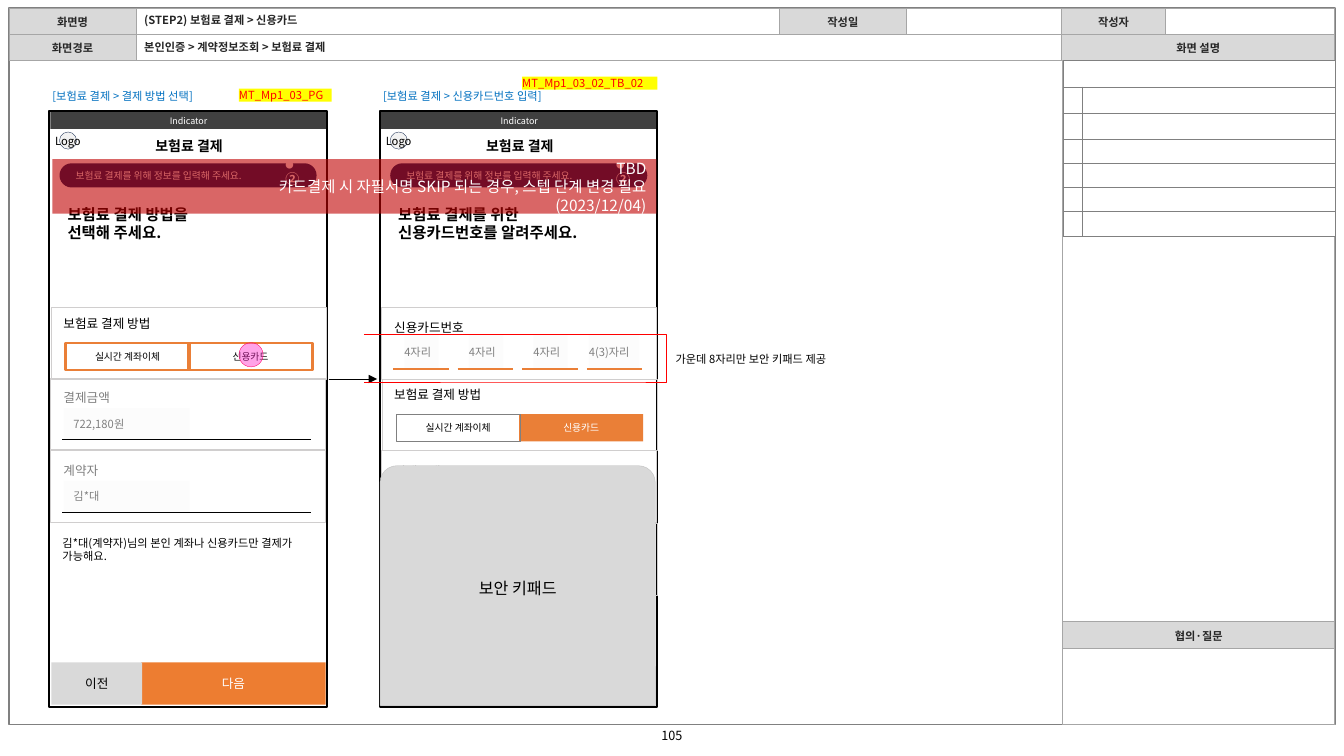
from dataclasses import dataclass
from lxml.etree import SubElement
from pptx import Presentation
from pptx.dml.color import RGBColor
from pptx.enum.shapes import MSO_CONNECTOR, MSO_SHAPE as SHAPE
from pptx.enum.text import MSO_ANCHOR as ANCHOR, MSO_AUTO_SIZE as AUTO_SIZE, PP_ALIGN as ALIGN
from pptx.oxml.ns import qn
from pptx.util import Pt

PX = 9144  # 100 px to the inch


@dataclass(frozen=True)
class Theme:
    font: str = "Noto Sans CJK KR"
    black: str = "000000"
    white: str = "FFFFFF"
    ink: str = "262626"
    dark: str = "404040"
    gray: str = "808080"
    border: str = "A6A6A6"
    section: str = "D0CECE"
    light: str = "D9D9D9"
    pale: str = "F2F2F2"
    keypad_edge: str = "BFBFBF"
    navy: str = "002060"
    logo_edge: str = "1E3256"
    blue: str = "0070C0"
    orange: str = "EA7F37"
    next_button: str = "ED7D31"
    red: str = "FF0000"
    banner: str = "C00000"
    yellow: str = "FFFF00"
    pink: str = "FF33CC"
    pink_edge: str = "FF0066"
    dot: float = 6
    indicator: float = 6.4
    small: float = 7
    body: float = 8
    label: float = 9
    title: float = 10
    heading: float = 11
    keypad: float = 11.5


theme = Theme()


def write(frame, text, size=theme.body, color=theme.black, bold=False, align=ALIGN.LEFT):
    for number, line in enumerate(text.split("\n")):
        paragraph = frame.add_paragraph() if number else frame.paragraphs[-1]
        paragraph.alignment = align
        run = paragraph.add_run()
        run.text = line
        run.font.size = Pt(size)
        run.font.bold = bold
        run.font.name = theme.font
        run.font.color.rgb = RGBColor.from_string(color)
        SubElement(run.font._element, qn("a:ea"), typeface=theme.font)


def add_box(kind, left, top, width, height, text="", fill=None, line=None, weight=0.25,
            opacity=100, wrap=None, inset=0, anchor=ANCHOR.MIDDLE, **text_format):
    """Add a preset shape, or a text box that fits its text when kind is None."""
    place = [value * PX for value in (left, top, width, height)]
    if kind is None:
        shape = slide.shapes.add_textbox(*place)
    else:
        shape = slide.shapes.add_shape(kind, *place)
        shape.shadow.inherit = False
        if fill:
            shape.fill.solid()
            shape.fill.fore_color.rgb = RGBColor.from_string(fill)
            color = shape._element.spPr.find(qn("a:solidFill"))[0]
            if opacity < 100:
                SubElement(color, qn("a:alpha"), val=str(opacity * 1000))
        else:
            shape.fill.background()
        if line:
            shape.line.color.rgb = RGBColor.from_string(line)
            shape.line.width = Pt(weight)
        else:
            shape.line.fill.background()
    if text:
        frame = shape.text_frame
        frame.word_wrap = kind is not None if wrap is None else wrap
        frame.auto_size = AUTO_SIZE.SHAPE_TO_FIT_TEXT if kind is None else AUTO_SIZE.NONE
        frame.vertical_anchor = anchor
        frame.margin_left = frame.margin_right = inset * PX
        frame.margin_top = frame.margin_bottom = 0
        write(frame, text, **text_format)
    return shape


presentation = Presentation()
presentation.slide_width, presentation.slide_height = 1333 * PX, 750 * PX
slide = presentation.slides.add_slide(presentation.slide_layouts[6])

# Page frame, then tables: left, top, columns, rows, border, weight, merges, labels
add_box(SHAPE.RECTANGLE, 9, 8, 1315, 711, line=theme.gray, weight=1)
tables = [
    (1054, 59, [270], [558, 26, 76], theme.border, 0.75, [], {(1, 0): "협의·질문"}),
    (9, 8, [126, 638, 126, 154, 103, 168], [26, 26], theme.border, 0.75,
     [(1, 1, 3), (1, 4, 5)],
     {(0, 0): "화면명", (0, 2): "작성일", (0, 4): "작성자", (1, 0): "화면경로", (1, 4): "화면 설명"}),
    (1054, 60, [19, 251], [26] * 3 + [24] * 4, theme.gray, 0.25, [(0, 0, 1)], {}),
]
for left, top, columns, rows, border, weight, merges, labels in tables:
    table = slide.shapes.add_table(len(rows), len(columns), left * PX, top * PX,
                                   sum(columns) * PX, sum(rows) * PX).table
    table.first_row = table.horz_banding = False
    for column, width in zip(table.columns, columns):
        column.width = width * PX
    for row, height in zip(table.rows, rows):
        row.height = height * PX
    for row, first, last in merges:
        table.cell(row, first).merge(table.cell(row, last))
    for row in range(len(rows)):
        for column in range(len(columns)):
            cell = table.cell(row, column)
            label = labels.get((row, column))
            cell.vertical_anchor = ANCHOR.MIDDLE
            cell.margin_top = cell.margin_bottom = 2 * PX
            cell.margin_left = cell.margin_right = 4 * PX
            properties = cell._tc.get_or_add_tcPr()
            for side in ("a:lnL", "a:lnR", "a:lnT", "a:lnB"):
                edge = SubElement(properties, qn(side), w=str(Pt(weight)))
                SubElement(SubElement(edge, qn("a:solidFill")), qn("a:srgbClr"), val=border)
            cell.fill.solid()
            cell.fill.fore_color.rgb = RGBColor.from_string(theme.light if label else theme.white)
            if label:
                write(cell.text_frame, label, color=theme.ink, bold=True, align=ALIGN.CENTER)
            else:
                SubElement(cell.text_frame.paragraphs[0]._p, qn("a:endParaRPr"), sz="600")

# Header values and page number
for top, width, text in [(10, 624, "(STEP2) 보험료 결제 > 신용카드"),
                         (37, 905, "본인인증 > 계약정보조회 > 보험료 결제")]:
    add_box(None, 139, top, width, 19, text, wrap=True, inset=4, color=theme.ink, bold=True)
add_box(None, 650, 722, 33, 15, "105", size=theme.label, align=ALIGN.CENTER)

# Two phones: left, caption, heading, heading width, method top, button styles
phones = [
    (49, "[보험료 결제 > 결제 방법 선택]", 163, "보험료 결제 방법을\n선택해 주세요.", 140, 305,
     dict(line=theme.orange, weight=1.5), dict(line=theme.orange, weight=1.5)),
    (377, "[보험료 결제 > 신용카드번호 입력]", 181, "보험료 결제를 위한\n신용카드번호를 알려주세요.", 200, 376,
     dict(line=theme.gray, weight=0.5), dict(fill=theme.orange, color=theme.white)),
]
for (left, caption, caption_width, heading, heading_width, method_top,
     transfer_style, card_style) in phones:
    add_box(SHAPE.RECTANGLE, left + 1, 111, 274, 17, "Indicator", fill=theme.dark,
            size=theme.indicator, color=theme.white, align=ALIGN.CENTER)
    add_box(SHAPE.RECTANGLE, left, 110, 275, 591, line=theme.black, weight=1.5)
    add_box(None, left + 3, 89, caption_width, 13, caption, color=theme.blue)
    add_box(None, left + 18, 203, heading_width, 37, heading, size=theme.heading, bold=True)
    bar = add_box(SHAPE.ROUNDED_RECTANGLE, left + 10, 162, 255, 24, fill=theme.navy)
    bar.adjustments[0] = 0.5
    add_box(None, left + 26, 168, 187, 12, "보험료 결제를 위해 정보를 입력해 주세요.",
            size=theme.small, color=theme.white)
    step = add_box(None, left + 234, 164, 22, 17, "●", size=theme.dot, color=theme.white, bold=True)
    write(step.text_frame, "②", size=theme.title, color=theme.white, bold=True)
    add_box(None, left + 101, 136, 75, 17, "보험료 결제", size=theme.title, bold=True,
            align=ALIGN.CENTER)
    add_box(SHAPE.OVAL, left + 10, 131, 17, 17, "Logo", fill=theme.pale, line=theme.logo_edge,
            wrap=False, align=ALIGN.CENTER)
    # Payment method
    add_box(None, left + 14, method_top + 8, 97, 15, "보험료 결제 방법", size=theme.label)
    for offset, text, style in [(138, "신용카드", card_style), (16, "실시간 계좌이체", transfer_style)]:
        add_box(SHAPE.RECTANGLE, left + offset, method_top + 35, 123, 27, text,
                size=theme.small, align=ALIGN.CENTER, **style)
    add_box(SHAPE.RECTANGLE, left + 2, method_top, 273, 71, line=theme.section)

# Section outlines
for left, top in [(378, 305), (50, 375), (50, 447), (378, 447), (379, 519)]:
    add_box(SHAPE.RECTANGLE, left, top, 273, 71, line=theme.section)

# First phone: amount, contractor, notice and buttons
lines = [(326, 376, 374, theme.black, 0.5, True)]
for top, label, value in [(375, "결제금액", "722,180원"), (447, "계약자", "김*대")]:
    add_box(None, 63, top + 12, 50, 15, label, size=theme.label, color=theme.gray)
    add_box(SHAPE.RECTANGLE, 63, top + 30, 125, 31, value, fill=theme.pale, opacity=20,
            inset=10, color=theme.gray)
    lines.append((62, top + 61, 308, theme.black, 0.75, False))
add_box(None, 62, 532, 250, 27, "김*대(계약자)님의 본인 계좌나 신용카드만 결제가 가능해요.",
        wrap=True, anchor=ANCHOR.TOP)
for left, width, text, fill, color in [(140, 183, "다음", theme.next_button, theme.white),
                                       (51, 90, "이전", theme.light, theme.black)]:
    add_box(SHAPE.RECTANGLE, left, 657, width, 42, text, fill=fill, size=theme.label,
            color=color, align=ALIGN.CENTER)

# Second phone: card number fields
add_box(None, 391, 317, 76, 15, "신용카드번호", size=theme.label)
for number, text in enumerate(["4자리", "4자리", "4자리", "4(3)자리"]):
    left = 390 + 64 * number
    indent, width = (2, 50) if number == 3 else (11, 34)
    add_box(SHAPE.RECTANGLE, left + indent, 332, width, 34, text, fill=theme.pale, opacity=20,
            color=theme.gray)
    lines.append((left, 366, left + 55, theme.orange, 1.5, False))
add_box(None, 391, 460, 50, 15, "결제금액", size=theme.label, color=theme.gray)

# Field underlines and the arrow between phones
for start, top, end, color, weight, arrow in lines:
    connector = slide.shapes.add_connector(MSO_CONNECTOR.STRAIGHT, start * PX, top * PX,
                                           end * PX, top * PX)
    connector.line.color.rgb = RGBColor.from_string(color)
    connector.line.width = Pt(weight)
    if arrow:
        SubElement(connector.line._get_or_add_ln(), qn("a:tailEnd"), type="triangle")
    SubElement(connector._element.spPr, qn("a:effectLst"))

# Review banner, bracket note, tap mark and keypad
add_box(SHAPE.RECTANGLE, 52, 158, 599, 54,
        "TBD\n카드결제 시 자필서명 SKIP 되는 경우, 스텝 단계 변경 필요\n(2023/12/04)",
        fill=theme.banner, opacity=60, inset=10, size=theme.heading, color=theme.white,
        align=ALIGN.RIGHT)
bracket = add_box(SHAPE.RIGHT_BRACKET, 361, 332, 300, 47, line=theme.red, weight=0.5)
bracket.adjustments[0] = 0
add_box(None, 670, 350, 168, 13, "가운데 8자리만 보안 키패드 제공")
add_box(SHAPE.OVAL, 237, 340, 24, 24, fill=theme.pink, opacity=45, line=theme.pink_edge)
keypad = add_box(SHAPE.ROUND_2_SAME_RECTANGLE, 377, 462, 273, 238, "보안 키패드", fill=theme.light,
                 line=theme.keypad_edge, size=theme.keypad, align=ALIGN.CENTER)
keypad.adjustments[0] = 0.07

# Screen codes
for left, top, width, code in [(237, 88, 92, "MT_Mp1_03_PG"), (518, 76, 134, "MT_Mp1_03_02_TB_02")]:
    add_box(SHAPE.RECTANGLE, left, top, width, 13, code, fill=theme.yellow, color=theme.red)

presentation.save("out.pptx")
